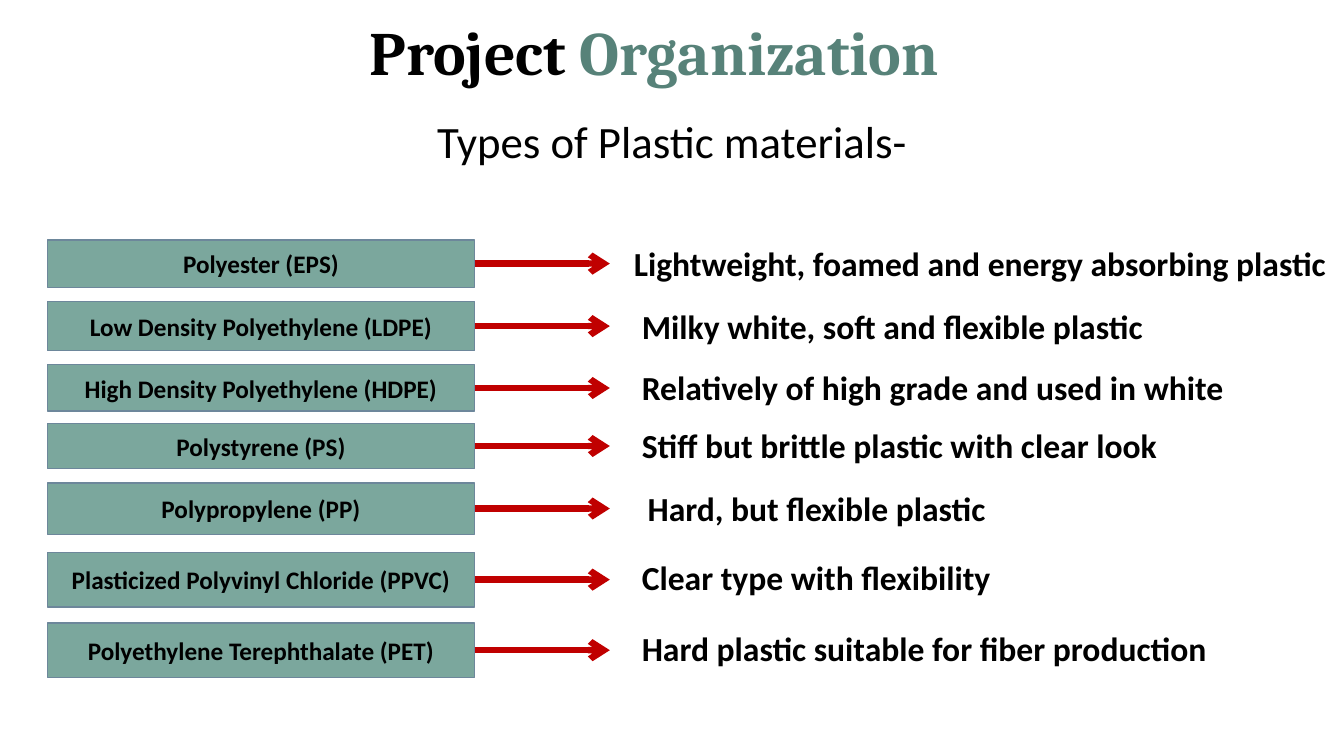
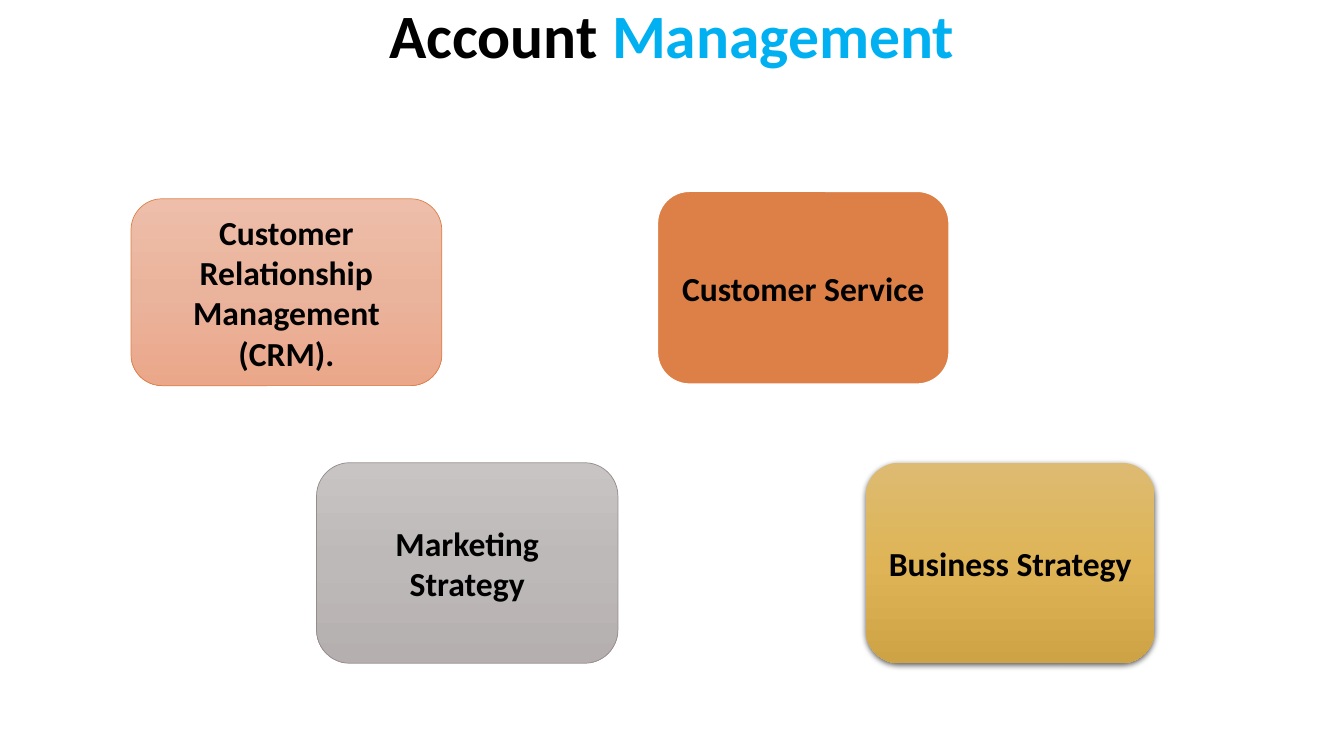
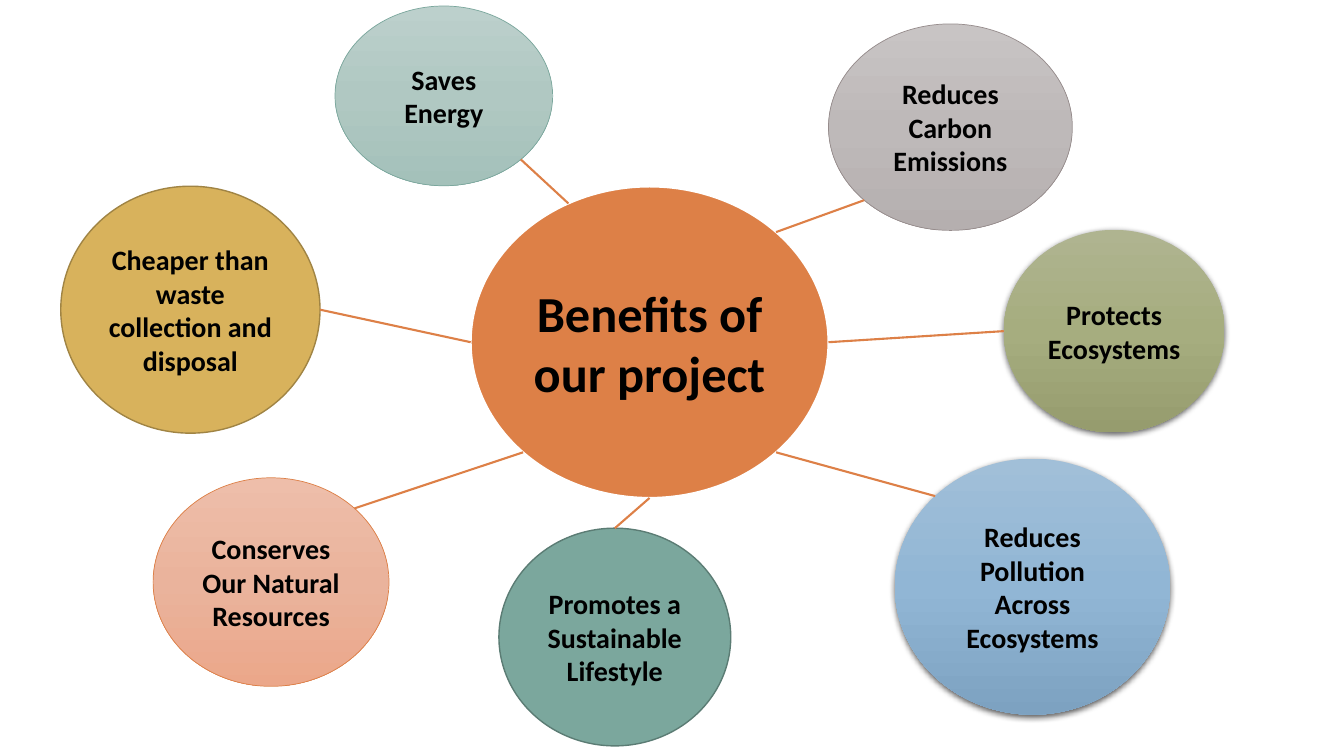
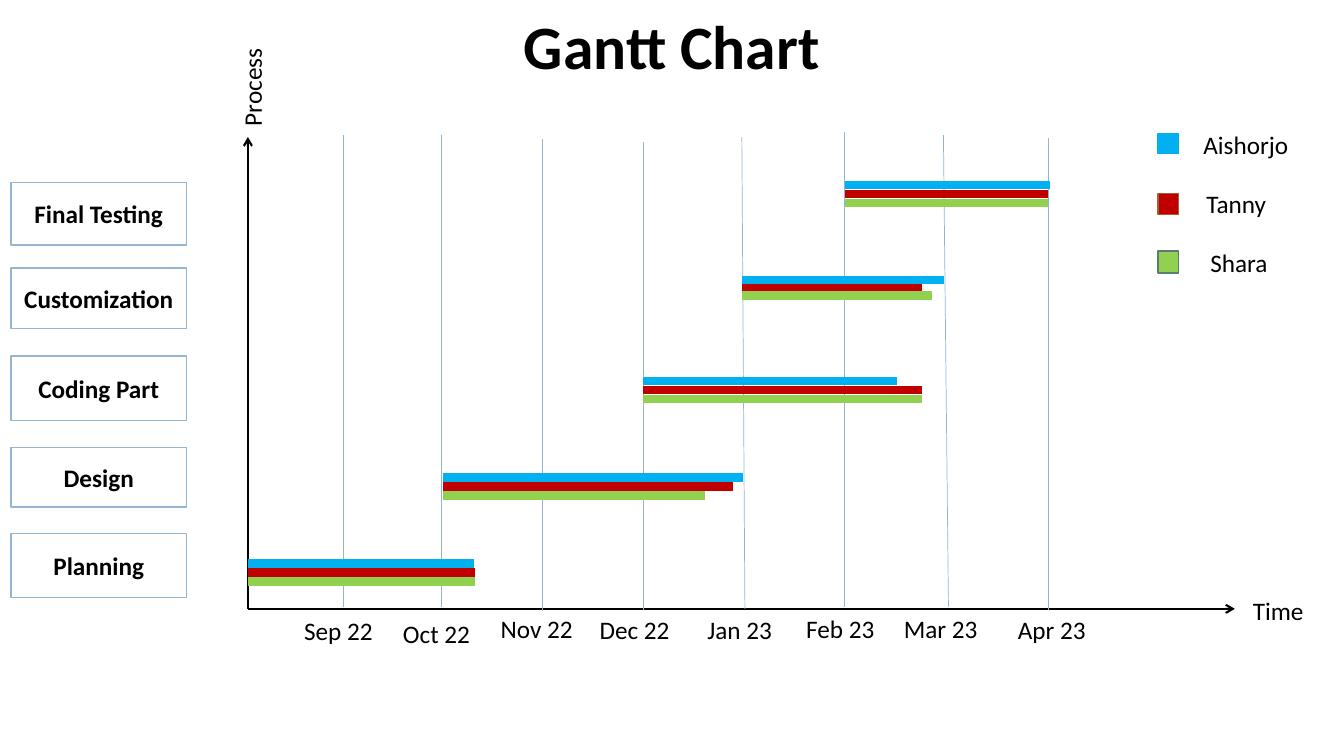
from copy import deepcopy
from dataclasses import dataclass
from math import cos, radians, sin

from lxml import etree
from pptx import Presentation
from pptx.dml.color import RGBColor
from pptx.enum.shapes import MSO_CONNECTOR, MSO_SHAPE
from pptx.enum.text import MSO_ANCHOR, MSO_AUTO_SIZE, PP_ALIGN
from pptx.oxml.ns import qn
from pptx.shapes.autoshape import Shape
from pptx.shapes.connector import Connector
from pptx.slide import Slide
from pptx.text.text import TextFrame
from pptx.util import Pt

RECTANGLE = MSO_SHAPE.RECTANGLE
ROUNDED = MSO_SHAPE.ROUNDED_RECTANGLE
OVAL = MSO_SHAPE.OVAL
STRAIGHT = MSO_CONNECTOR.STRAIGHT
LEFT, CENTER = PP_ALIGN.LEFT, PP_ALIGN.CENTER
TOP, MIDDLE, BOTTOM = MSO_ANCHOR.TOP, MSO_ANCHOR.MIDDLE, MSO_ANCHOR.BOTTOM
NO_AUTOFIT = MSO_AUTO_SIZE.NONE

BLACK = RGBColor(0x00, 0x00, 0x00)
WHITE = RGBColor(0xFF, 0xFF, 0xFF)
TEAL = RGBColor(0x7B, 0xA7, 0x9D)
DARK_TEAL = RGBColor(0x5B, 0x7C, 0x74)
TITLE_TEAL = RGBColor(0x57, 0x82, 0x79)
SLATE = RGBColor(0x6D, 0x87, 0x9B)
RED = RGBColor(0xC0, 0x00, 0x00)
BRIGHT_BLUE = RGBColor(0x00, 0xB0, 0xF0)
PALE_BLUE = RGBColor(0x94, 0xB6, 0xD2)
GREEN = RGBColor(0x92, 0xD0, 0x50)
ORANGE = RGBColor(0xDD, 0x80, 0x47)
BROWN = RGBColor(0xA3, 0x5F, 0x35)
GRAY = RGBColor(0x96, 0x8C, 0x8C)
GOLD = RGBColor(0xD8, 0xB2, 0x5C)
DARK_GOLD = RGBColor(0xA0, 0x84, 0x44)
PEACH_BLEND = (RGBColor(0xEE, 0xBE, 0xAA), RGBColor(0xEA, 0xB3, 0x9C), RGBColor(0xEB, 0xA7, 0x8A))
GRAY_BLEND = (RGBColor(0xC8, 0xC4, 0xC4), RGBColor(0xBE, 0xB9, 0xB9), RGBColor(0xB5, 0xAF, 0xAF))
GOLD_BLEND = (RGBColor(0xDD, 0xBB, 0x72), RGBColor(0xDE, 0xB4, 0x56), RGBColor(0xCD, 0xA3, 0x45))
OLIVE_BLEND = (RGBColor(0xAF, 0xB4, 0x90), RGBColor(0xA6, 0xAD, 0x7F), RGBColor(0x96, 0x9C, 0x6E))
TEAL_BLEND = (RGBColor(0xBC, 0xD0, 0xCC), RGBColor(0xB0, 0xC8, 0xC2), RGBColor(0xA4, 0xC1, 0xBA))
BLUE_BLEND = (RGBColor(0xA1, 0xBF, 0xD8), RGBColor(0x91, 0xB6, 0xD5), RGBColor(0x7D, 0xA2, 0xC1))

BODY_FONT = "Calibri"
SLIDE_WIDTH, SLIDE_HEIGHT = 960, 540
TITLE_ONLY, BLANK = 5, 6


@dataclass(frozen=True)
class Box:
    left: float
    top: float
    width: float
    height: float

    @property
    def right(self) -> float:
        return self.left + self.width

    @property
    def middle(self) -> float:
        return self.top + self.height / 2

    def rim_point(self, degrees: float) -> tuple[float, float]:
        angle = radians(degrees)
        return (
            self.left + self.width / 2 * (1 + cos(angle)),
            self.middle + self.height / 2 * sin(angle),
        )


@dataclass(frozen=True)
class Skin:
    fill: tuple[RGBColor, ...]
    line: RGBColor | None = None
    line_width: float = 1
    shadow: bool = False


@dataclass(frozen=True)
class Material:
    name: str
    top: float
    height: float
    description: str
    text_left: float
    text_top: float


@dataclass(frozen=True)
class Card:
    text: str
    box: Box
    skin: Skin


@dataclass(frozen=True)
class Benefit:
    text: str
    box: Box
    skin: Skin
    rim_angle: float
    hub_angle: float


@dataclass(frozen=True)
class Phase:
    name: str
    top: float
    height: float
    start: float
    ends: tuple[float, float, float]
    bar_top: float
    bar_step: float = 6.4


@dataclass(frozen=True)
class Month:
    name: str
    label_left: float
    label_top: float
    foot: tuple[float, float]
    head: tuple[float, float]


@dataclass(frozen=True)
class Person:
    name: str
    color: RGBColor
    outline: RGBColor
    key_top: float
    key_height: float
    name_left: float
    name_top: float


MATERIAL_SKIN = Skin((TEAL,), SLATE)
PEACH_SKIN = Skin(PEACH_BLEND, ORANGE, 0.5)
GRAY_SKIN = Skin(GRAY_BLEND, GRAY, 0.5)
ORANGE_SKIN = Skin((ORANGE,), WHITE, 1.5)
PHASE_SKIN = Skin((WHITE,), PALE_BLUE)

MATERIALS = (
    Material("Polyester (EPS)", 171.4, 33.8,
             "Lightweight, foamed and energy absorbing plastic", 445.7, 170),
    Material("Low Density Polyethylene (LDPE)", 215.3, 35.3,
             "Milky white, soft and ﬂexible plastic", 451.4, 215.3),
    Material("High Density Polyethylene (HDPE)", 260.6, 33.1,
             "Relatively of high grade and used in white", 451.4, 258.5),
    Material("Polystyrene (PS)", 302.4, 32.4,
             "Stiﬀ but brittle plastic with clear look", 451.4, 300.2),
    Material("Polypropylene (PP)", 344.9, 36.7,
             "Hard, but ﬂexible plastic", 455.5, 344.9),
    Material("Plasticized Polyvinyl Chloride (PPVC)", 394.6, 38.9,
             "Clear type with ﬂexibility", 451.4, 394.6),
    Material("Polyethylene Terephthalate (PET)", 445, 38.9,
             "Hard plastic suitable for ﬁber production", 451.4, 445),
)

CARDS = (
    Card("Customer Relationship Management (CRM).", Box(93.6, 142, 222, 133.5), PEACH_SKIN),
    Card("Marketing Strategy", Box(226.1, 330.5, 215.3, 143.3), GRAY_SKIN),
    Card("Customer Service", Box(469.4, 136.4, 208.8, 138.2), ORANGE_SKIN),
    Card("Business Strategy", Box(618.5, 330.5, 206.3, 143.3), Skin(GOLD_BLEND, shadow=True)),
)

HUB = Box(336.2, 133.2, 255.6, 222.5)
BENEFITS = (
    Benefit("Protects Ecosystems", Box(717, 164.2, 157.7, 144.7),
            Skin(OLIVE_BLEND, shadow=True), 180, 0),
    Benefit("Saves Energy", Box(239.3, 4.3, 155.5, 128.4),
            Skin(TEAL_BLEND, TEAL, 0.5), 45, 243),
    Benefit("Reduces Carbon Emissions", Box(591.8, 17.1, 174.2, 147.5),
            GRAY_SKIN, 135, 315),
    Benefit("Reduces Pollution Across Ecosystems", Box(639.2, 327.6, 196.6, 182.9),
            Skin(BLUE_BLEND, shadow=True), 225, 45),
    Benefit("Promotes a Sustainable Lifestyle", Box(356.4, 377.3, 165.6, 155.5),
            Skin((TEAL,), DARK_TEAL), 270, 90),
    Benefit("Cheaper than waste collection and disposal", Box(43.4, 133, 185.2, 176.4),
            Skin((GOLD,), DARK_GOLD), 0, 180),
    Benefit("Conserves Our Natural Resources", Box(109.4, 341.3, 168.5, 149),
            PEACH_SKIN, 315, 135),
)

PHASES = (
    Phase("Final Testing", 130.3, 44.6, 603.4, (750.2, 748.8, 748.8), 132.2),
    Phase("Customization", 191.5, 43.2, 529.9, (674.6, 658.8, 666), 200.2, 5.5),
    Phase("Coding Part", 254.2, 46.1, 459.4, (640.8, 658.8, 658.8), 272.2),
    Phase("Design", 319.7, 42.5, 316.4, (530.6, 523.4, 503.3), 341),
    Phase("Planning", 380.9, 46.1, 177.1, (338.4, 339.1, 339.1), 402.5),
)

MONTHS = (
    Month("Sep 22", 210.2, 436.3, (245.5, 433.4), (245.5, 96.5)),
    Month("Oct 22", 280.8, 437.8, (315.4, 433.4), (315.4, 96.5)),
    Month("Nov 22", 350.6, 434.9, (387.4, 436.3), (387.4, 99.4)),
    Month("Dec 22", 421.2, 435.6, (459.4, 435.6), (459.4, 101.5)),
    Month("Jan 23", 498.2, 435.6, (532.1, 434.9), (529.9, 97.9)),
    Month("Feb 23", 568.8, 434.9, (603.4, 433.4), (603.4, 94.3)),
    Month("Mar 23", 638.6, 434.9, (677.5, 433.4), (673.9, 96.5)),
    Month("Apr 23", 720, 435.6, (748.8, 435.6), (748.8, 98.6)),
)

PEOPLE = (
    Person("Aishorjo", BRIGHT_BLUE, BRIGHT_BLUE, 95.8, 13.7, 852.5, 88.6),
    Person("Tanny", RED, BROWN, 138.2, 15.1, 854.6, 131),
    Person("Shara", GREEN, DARK_TEAL, 179.3, 15.8, 857.5, 172.8),
)


def write_text(
    frame: TextFrame,
    text: str,
    *,
    size: float,
    bold: bool = False,
    font: str = BODY_FONT,
    color: RGBColor = BLACK,
    accent: str = "",
    accent_color: RGBColor = BLACK,
    align: PP_ALIGN = LEFT,
    anchor: MSO_ANCHOR = TOP,
    line_spacing: float = 1,
) -> None:
    frame.auto_size = NO_AUTOFIT
    frame.word_wrap = True
    frame.vertical_anchor = anchor
    paragraph = frame.paragraphs[0]
    paragraph.alignment = align
    paragraph.line_spacing = line_spacing
    for part, part_color in ((text, color), (accent, accent_color)):
        if part:
            run = paragraph.add_run()
            run.text = part
            run.font.name = font
            run.font.size = Pt(size)
            run.font.bold = bold
            run.font.color.rgb = part_color


def place(shape: Shape, box: Box) -> None:
    shape.left, shape.top = Pt(box.left), Pt(box.top)
    shape.width, shape.height = Pt(box.width), Pt(box.height)


def add_title(
    slide: Slide,
    box: Box,
    text: str,
    *,
    accent: str = "",
    accent_color: RGBColor = BLACK,
    font: str = BODY_FONT,
    anchor: MSO_ANCHOR = TOP,
) -> None:
    title = slide.shapes.title
    place(title, box)
    write_text(title.text_frame, text, size=44, bold=True, font=font, accent=accent,
               accent_color=accent_color, align=CENTER, anchor=anchor, line_spacing=0.9)


def add_label(
    slide: Slide,
    box: Box,
    text: str,
    *,
    size: float = 18,
    bold: bool = False,
    align: PP_ALIGN = LEFT,
    line_spacing: float = 1,
    rotation: float = 0,
) -> None:
    label = slide.shapes.add_textbox(
        Pt(box.left), Pt(box.top), Pt(box.width), Pt(box.height))
    label.rotation = rotation
    write_text(label.text_frame, text, size=size, bold=bold, align=align,
               line_spacing=line_spacing)


def blend_fill(shape: Shape, colors: tuple[RGBColor, ...]) -> None:
    fill = shape.fill
    fill.gradient()
    fill.gradient_angle = 270
    stop_list = shape._element.spPr.find(f".//{qn('a:gsLst')}")
    while len(stop_list) < len(colors):
        stop_list.append(deepcopy(stop_list[0]))
    for index, (stop, color) in enumerate(zip(fill.gradient_stops, colors)):
        stop.position = index / (len(colors) - 1)
        stop.color.rgb = color


def add_soft_shadow(shape: Shape) -> None:
    effects = shape._element.spPr.find(qn("a:effectLst"))
    shadow = etree.SubElement(
        effects, qn("a:outerShdw"), blurRad=str(Pt(4.5)), dist=str(Pt(1.5)),
        dir="5400000", algn="ctr", rotWithShape="0")
    color = etree.SubElement(shadow, qn("a:srgbClr"), val=str(BLACK))
    etree.SubElement(color, qn("a:alpha"), val="63000")


def add_block(
    slide: Slide,
    kind: MSO_SHAPE,
    box: Box,
    skin: Skin,
    text: str = "",
    *,
    size: float = 18,
) -> None:
    shape = slide.shapes.add_shape(
        kind, Pt(box.left), Pt(box.top), Pt(box.width), Pt(box.height))
    shape.shadow.inherit = False
    if len(skin.fill) > 1:
        blend_fill(shape, skin.fill)
    else:
        shape.fill.solid()
        shape.fill.fore_color.rgb = skin.fill[0]
    if skin.line is None:
        shape.line.fill.background()
    else:
        shape.line.color.rgb = skin.line
        shape.line.width = Pt(skin.line_width)
    if skin.shadow:
        add_soft_shadow(shape)
    if text:
        write_text(shape.text_frame, text, size=size, bold=True, align=CENTER, anchor=MIDDLE)


def add_line(
    slide: Slide,
    start: tuple[float, float],
    end: tuple[float, float],
    color: RGBColor,
    width: float,
    *,
    arrow: bool = False,
) -> Connector:
    line = slide.shapes.add_connector(
        STRAIGHT, Pt(start[0]), Pt(start[1]), Pt(end[0]), Pt(end[1]))
    line.line.color.rgb = color
    line.line.width = Pt(width)
    if arrow:
        etree.SubElement(line.line._get_or_add_ln(), qn("a:tailEnd"), type="arrow")
    etree.SubElement(line._element.spPr, qn("a:effectLst"))
    return line


def build_materials(slide: Slide) -> None:
    add_title(slide, Box(53.3, 0, 828, 67), "Project ", accent="Organization",
              accent_color=TITLE_TEAL, font="Cambria", anchor=BOTTOM)
    add_label(slide, Box(0, 82, SLIDE_WIDTH, 44), "Types of Plastic materials-",
              size=32, align=CENTER, line_spacing=0.9)
    for material in MATERIALS:
        box = Box(33.8, material.top, 305.3, material.height)
        add_block(slide, RECTANGLE, box, MATERIAL_SKIN, material.name)
        add_line(slide, (box.right, box.middle), (435.6, box.middle), RED, 4.5, arrow=True)
        description_width = SLIDE_WIDTH - 2 - material.text_left
        add_label(slide, Box(material.text_left, material.text_top, description_width, 36),
                  material.description, size=24, bold=True)


def build_account(slide: Slide) -> None:
    add_title(slide, Box(0, 0, SLIDE_WIDTH, 56), "Account ", accent="Management",
              accent_color=BRIGHT_BLUE)
    for card in CARDS:
        add_block(slide, ROUNDED, card.box, card.skin, card.text, size=24)


def build_benefits(slide: Slide) -> None:
    add_block(slide, OVAL, HUB, ORANGE_SKIN, "Benefits of our project", size=36)
    for benefit in BENEFITS:
        add_block(slide, OVAL, benefit.box, benefit.skin, benefit.text, size=20)
        add_line(slide, benefit.box.rim_point(benefit.rim_angle),
                 HUB.rim_point(benefit.hub_angle), ORANGE, 1.5)


def build_gantt(slide: Slide) -> None:
    add_title(slide, Box(0, 8, SLIDE_WIDTH, 56), "Gantt Chart")
    origin = (177.1, 434.9)
    add_line(slide, origin, (882, origin[1]), BLACK, 1.5, arrow=True)
    add_line(slide, origin, (origin[0], 97.9), BLACK, 1.5, arrow=True)
    add_label(slide, Box(887.8, 421.9, 65.5, 28.8), "Time")
    add_label(slide, Box(140, 42.8, 80, 28.8), "Process", rotation=270)
    for month in MONTHS:
        add_line(slide, month.foot, month.head, PALE_BLUE, 0.5)
        add_label(slide, Box(month.label_left, month.label_top, 78, 28.8), month.name)
    for person in PEOPLE:
        add_block(slide, RECTANGLE, Box(827.3, person.key_top, 14.4, person.key_height),
                  Skin((person.color,), person.outline))
        add_label(slide, Box(person.name_left, person.name_top, 100, 28.8), person.name)
    for phase in PHASES:
        add_block(slide, RECTANGLE, Box(7.9, phase.top, 125.3, phase.height),
                  PHASE_SKIN, phase.name)
        for index, (person, end) in enumerate(zip(PEOPLE, phase.ends)):
            y = phase.bar_top + index * phase.bar_step
            add_line(slide, (phase.start, y), (end, y), person.color, 6)


def main() -> None:
    presentation = Presentation()
    presentation.slide_width = Pt(SLIDE_WIDTH)
    presentation.slide_height = Pt(SLIDE_HEIGHT)
    for layout, build in (
        (TITLE_ONLY, build_materials),
        (TITLE_ONLY, build_account),
        (BLANK, build_benefits),
        (TITLE_ONLY, build_gantt),
    ):
        build(presentation.slides.add_slide(presentation.slide_layouts[layout]))
    presentation.save("out.pptx")


main()
